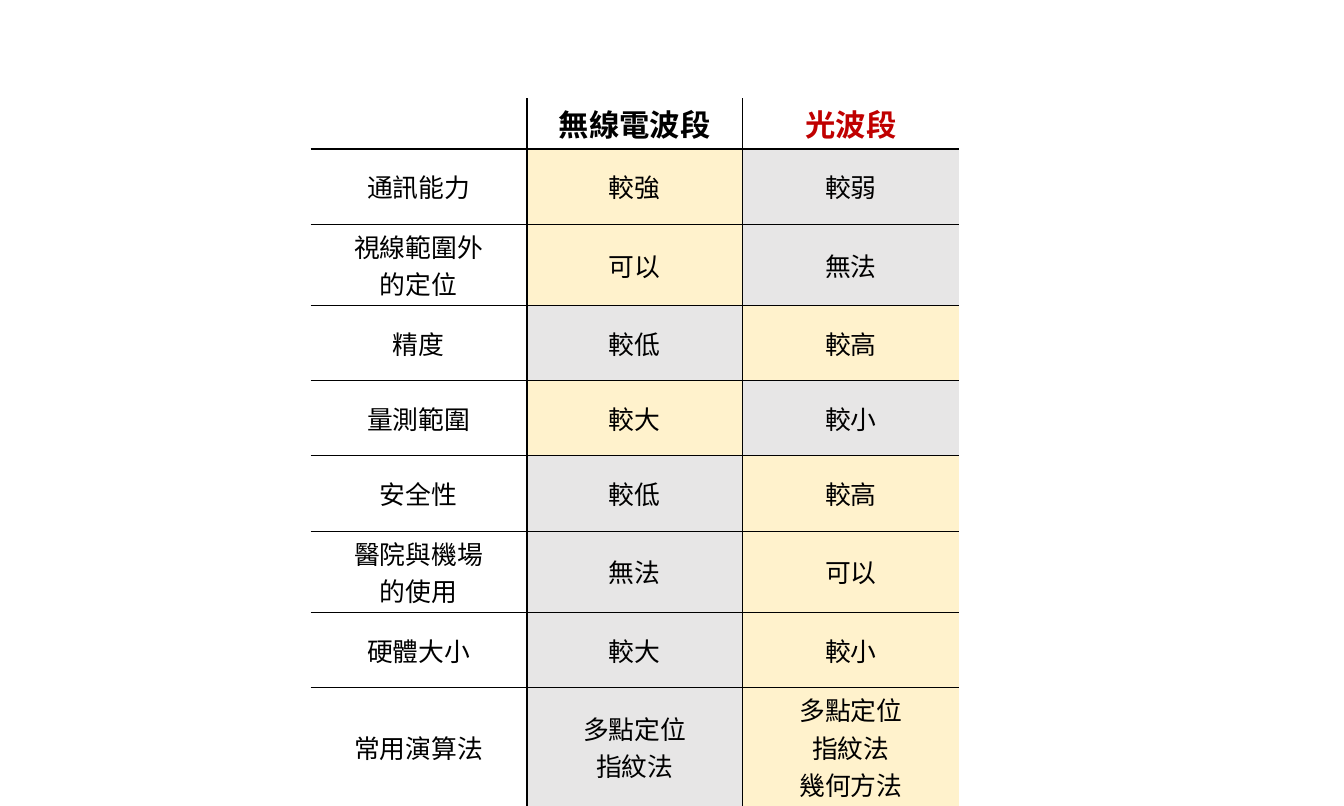
from lxml import etree
from pptx import Presentation
from pptx.dml.color import RGBColor
from pptx.enum import text
from pptx.oxml import ns
from pptx.util import Pt

FONT = "Noto Sans CJK SC"
BLACK, RED = "000000", "C00000"
GOLD, GREY = "FFF2CC", "E7E6E6"
THIN, THICK = 1, 2.25
NO_STYLE = "{2D5ABB26-0587-4C30-8999-92F81FD0307C}"

HEAD = ("", "無線電波段", "光波段")
# Feature, radio band, light band, and the column that does better
BODY = [
    ("通訊能力", "較強", "較弱", 1),
    ("視線範圍外\n的定位", "可以", "無法", 1),
    ("精度", "較低", "較高", 2),
    ("量測範圍", "較大", "較小", 1),
    ("安全性", "較低", "較高", 2),
    ("醫院與機場\n的使用", "無法", "可以", 2),
    ("硬體大小", "較大", "較小", 2),
    ("常用演算法", "多點定位\n指紋法", "多點定位\n指紋法\n幾何方法", 2),
]
HEIGHTS = [49.7] + [79.2] * 7 + [110.2]


def color(value):
    return RGBColor.from_string(value)


def add_tag(parent, name, **attrs):
    return etree.SubElement(parent, ns.qn(name), attrs)


def set_edges(cell, edges):
    """Draw each side of a cell; a width of 0 leaves it open."""
    props = cell._tc.get_or_add_tcPr()
    for side in "LRTB":
        width = edges[side]
        line = add_tag(props, f"a:ln{side}", w=str(int(Pt(width))))
        if width:
            fill = add_tag(line, "a:solidFill")
            add_tag(fill, "a:srgbClr", val=BLACK)
        else:
            add_tag(line, "a:noFill")


def write(cell, words, look, tint):
    """Centre the words, one paragraph for each line."""
    cell.vertical_anchor = text.MSO_ANCHOR.MIDDLE
    cell.text = words
    for para in cell.text_frame.paragraphs:
        para.alignment = text.PP_ALIGN.CENTER
        for run in para.runs:
            for key, value in look.items():
                setattr(run.font, key, value)
            run.font.color.rgb = color(tint)
            add_tag(run.font._element, "a:ea", typeface=FONT)


def add_grid(slide, left, top, width):
    """Comparison table, placed from its top left corner."""
    rows, cols = len(BODY) + 1, len(HEAD)
    frame = slide.shapes.add_table(rows, cols, Pt(left), Pt(top),
                                   Pt(width), Pt(sum(HEIGHTS)))
    grid = frame.table
    grid.first_row = grid.horz_banding = False
    grid._tbl.tblPr.find(ns.qn("a:tableStyleId")).text = NO_STYLE
    for col in grid.columns:
        col.width = Pt(width / cols)
    for row, height in zip(grid.rows, HEIGHTS):
        row.height = Pt(height)

    # Line widths from the outer left to the right, and from top to bottom
    down = [0, THICK, THIN, 0]
    across = [0, THICK] + [THIN] * (rows - 2) + [0]
    for r in range(rows):
        for c in range(cols):
            cell = grid.cell(r, c)
            set_edges(cell, {"L": down[c], "R": down[c + 1],
                             "T": across[r], "B": across[r + 1]})
            if r == 0:
                look = {"name": FONT, "size": Pt(32), "bold": True}
                write(cell, HEAD[c], look, RED if c == 2 else BLACK)
                continue
            line = BODY[r - 1]
            face = "Calibri" if (r, c) == (2, 1) else FONT
            look = {"name": face, "size": Pt(27.2), "bold": False}
            write(cell, line[c], look, BLACK)
            # Gold marks the better band
            if c:
                cell.fill.solid()
                cell.fill.fore_color.rgb = color(GOLD if c == line[3] else GREY)


def main():
    deck = Presentation()
    deck.slide_width, deck.slide_height = Pt(1417.7), Pt(850.3)
    slide = deck.slides.add_slide(deck.slide_layouts[6])
    add_grid(slide, left=327.6, top=103.7, width=684)
    deck.save("out.pptx")


if __name__ == "__main__":
    main()
